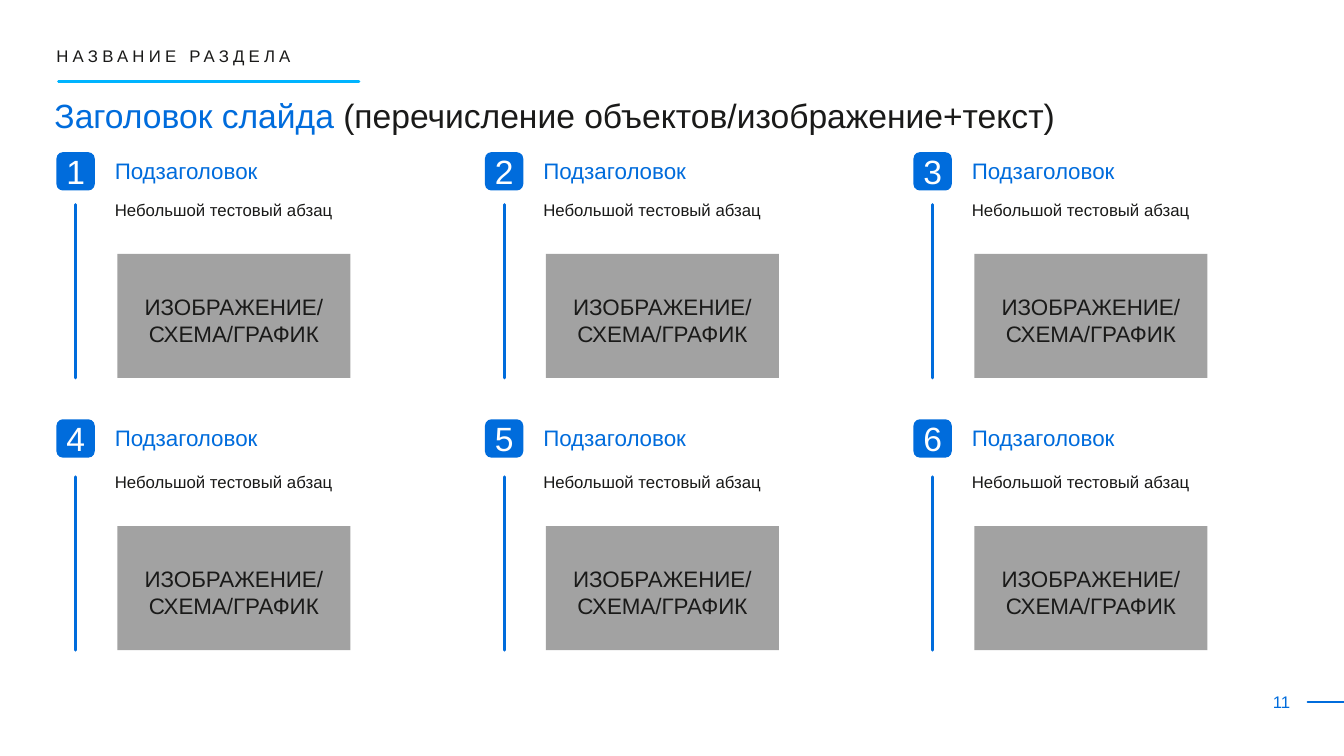
import pptx
import pptx.util
import pptx.dml.color
import pptx.enum.shapes
import pptx.enum.text
import pptx.oxml.ns
import lxml.etree
from dataclasses import dataclass

# Content
SECTION = "НАЗВАНИЕ РАЗДЕЛА"
TITLE_ACCENT = "Заголовок слайда "
TITLE_REST = "(перечисление объектов/изображение+текст)"
PAGE_NUMBER = "11"
PICTURE_LABEL = ("ИЗОБРАЖЕНИЕ/", "СХЕМА/ГРАФИК")
ITEMS = [(str(number), "Подзаголовок", "Небольшой тестовый абзац") for number in range(1, 7)]


@dataclass(frozen=True)
class Theme:
    font: str = "Arial"
    blue: str = "006CDC"
    cyan: str = "00B4FF"
    dark: str = "1A1A19"
    gray: str = "A2A2A2"
    white: str = "FFFFFF"
    large: int = 24
    medium: int = 16
    small: int = 12


THEME = Theme()

# Grid, in inches
SLIDE_WIDTH, SLIDE_HEIGHT = 13.33, 7.5
COLUMNS = 3
COLUMN_STEP = 4.25
HEADING_STEP = 2.65
BODY_STEP = 2.7
BADGE = 0.38
LEFT, TEXT_LEFT, PICTURE_LEFT = 0.56, 1.04, 1.165
BADGE_TOP, HEADING_TOP = 1.51, 1.56
BODY_TOP, RULE_TOP, PICTURE_TOP = 1.97, 2.03, 2.52
TEXT_WIDTH, PICTURE_WIDTH, PICTURE_HEIGHT = 2.7, 2.31, 1.23

Inches = pptx.util.Inches
MIDDLE = pptx.enum.text.MSO_ANCHOR.MIDDLE
LEFT_ALIGN = pptx.enum.text.PP_ALIGN.LEFT
CENTER = pptx.enum.text.PP_ALIGN.CENTER


def color(value):
    return pptx.dml.color.RGBColor.from_string(value)


def add_run(paragraph, text, size, text_color):
    run = paragraph.add_run()
    run.text = text
    run.font.name = THEME.font
    run.font.size = pptx.util.Pt(size)
    run.font.color.rgb = color(text_color)
    return run


def add_text(slide, left, top, width, height, text, size, text_color,
             spacing=1.0, align=LEFT_ALIGN):
    box = slide.shapes.add_textbox(*map(Inches, (left, top, width, height)))
    box.text_frame.word_wrap = True
    paragraph = box.text_frame.paragraphs[0]
    paragraph.alignment = align
    paragraph.line_spacing = spacing
    return box, add_run(paragraph, text, size, text_color)


def set_margins(frame, left, top, right, bottom):
    frame.margin_left, frame.margin_top = Inches(left), Inches(top)
    frame.margin_right, frame.margin_bottom = Inches(right), Inches(bottom)


def add_block(slide, kind, left, top, width, height, fill):
    block = slide.shapes.add_shape(kind, *map(Inches, (left, top, width, height)))
    block.shadow.inherit = False
    block.fill.solid()
    block.fill.fore_color.rgb = color(fill)
    block.line.fill.background()
    block.text_frame.vertical_anchor = MIDDLE
    paragraph = block.text_frame.paragraphs[0]
    paragraph.alignment = CENTER
    return block, paragraph


def add_line(slide, x1, y1, x2, y2, line_color, weight=2.0):
    line = slide.shapes.add_connector(
        pptx.enum.shapes.MSO_CONNECTOR.STRAIGHT, *map(Inches, (x1, y1, x2, y2)))
    line.line.color.rgb = color(line_color)
    line.line.width = pptx.util.Pt(weight)
    properties = line._element.spPr
    properties.find(pptx.oxml.ns.qn("a:ln")).set("cap", "rnd")
    lxml.etree.SubElement(properties, pptx.oxml.ns.qn("a:effectLst"))


def add_header(slide):
    box, run = add_text(slide, 0.53, 0.38, 2.48, 0.28, SECTION,
                        THEME.small, THEME.dark, spacing=1.2)
    set_margins(box.text_frame, 0.03, 0.03, 0.03, 0.03)
    run.font._element.set("spc", "300")
    add_line(slide, 0.58, 0.81, 3.56, 0.81, THEME.cyan)

    title = slide.shapes.title
    title.left, title.top, title.width, title.height = map(Inches, (0.44, 0.97, 11.67, 0.42))
    frame = title.text_frame
    frame.auto_size = pptx.enum.text.MSO_AUTO_SIZE.NONE
    frame.vertical_anchor = pptx.enum.text.MSO_ANCHOR.TOP
    paragraph = frame.paragraphs[0]
    paragraph.alignment = LEFT_ALIGN
    paragraph.line_spacing = 0.8
    add_run(paragraph, TITLE_ACCENT, THEME.large, THEME.blue)
    add_run(paragraph, TITLE_REST, THEME.large, THEME.dark)


def add_item(slide, index, number, heading, body):
    row, column = divmod(index, COLUMNS)
    x = column * COLUMN_STEP
    heading_y, body_y = row * HEADING_STEP, row * BODY_STEP
    shapes = pptx.enum.shapes.MSO_SHAPE

    # Numbered badge and vertical rule
    badge, paragraph = add_block(slide, shapes.ROUNDED_RECTANGLE, LEFT + x,
                                 BADGE_TOP + heading_y, BADGE, BADGE, THEME.blue)
    set_margins(badge.text_frame, 0, 0, 0, 0)
    badge.text_frame.word_wrap = False
    add_run(paragraph, number, THEME.large, THEME.white)
    rule_x = LEFT + BADGE / 2 + x
    rule_y = RULE_TOP + body_y
    picture_y = PICTURE_TOP + body_y
    add_line(slide, rule_x, rule_y, rule_x, picture_y + PICTURE_HEIGHT, THEME.blue)

    # Heading and text
    add_text(slide, TEXT_LEFT + x, HEADING_TOP + heading_y, TEXT_WIDTH, 0.32,
             heading, THEME.medium, THEME.blue, spacing=0.8)
    add_text(slide, TEXT_LEFT + x, BODY_TOP + body_y, TEXT_WIDTH, 0.26,
             body, THEME.small, THEME.dark, spacing=0.8)

    # Gray area for an illustration
    area, paragraph = add_block(slide, shapes.RECTANGLE, PICTURE_LEFT + x, picture_y,
                                PICTURE_WIDTH, PICTURE_HEIGHT, THEME.gray)
    set_margins(area.text_frame, 0.1, 0.13, 0.1, 0.05)
    add_run(paragraph, PICTURE_LABEL[0], THEME.medium, THEME.dark)
    paragraph.add_line_break()
    add_run(paragraph, PICTURE_LABEL[1], THEME.medium, THEME.dark)


def add_footer(slide):
    add_text(slide, 12.49, 6.81, 0.44, 0.3, PAGE_NUMBER,
             THEME.small, THEME.blue, align=CENTER)
    add_line(slide, 12.97, 6.96, SLIDE_WIDTH, 6.96, THEME.blue, weight=1.5)


def main():
    presentation = pptx.Presentation()
    presentation.slide_width = Inches(SLIDE_WIDTH)
    presentation.slide_height = Inches(SLIDE_HEIGHT)
    slide = presentation.slides.add_slide(presentation.slide_layouts.get_by_name("Title Only"))
    add_header(slide)
    for index, item in enumerate(ITEMS):
        add_item(slide, index, *item)
    add_footer(slide)
    presentation.save("out.pptx")


if __name__ == "__main__":
    main()
